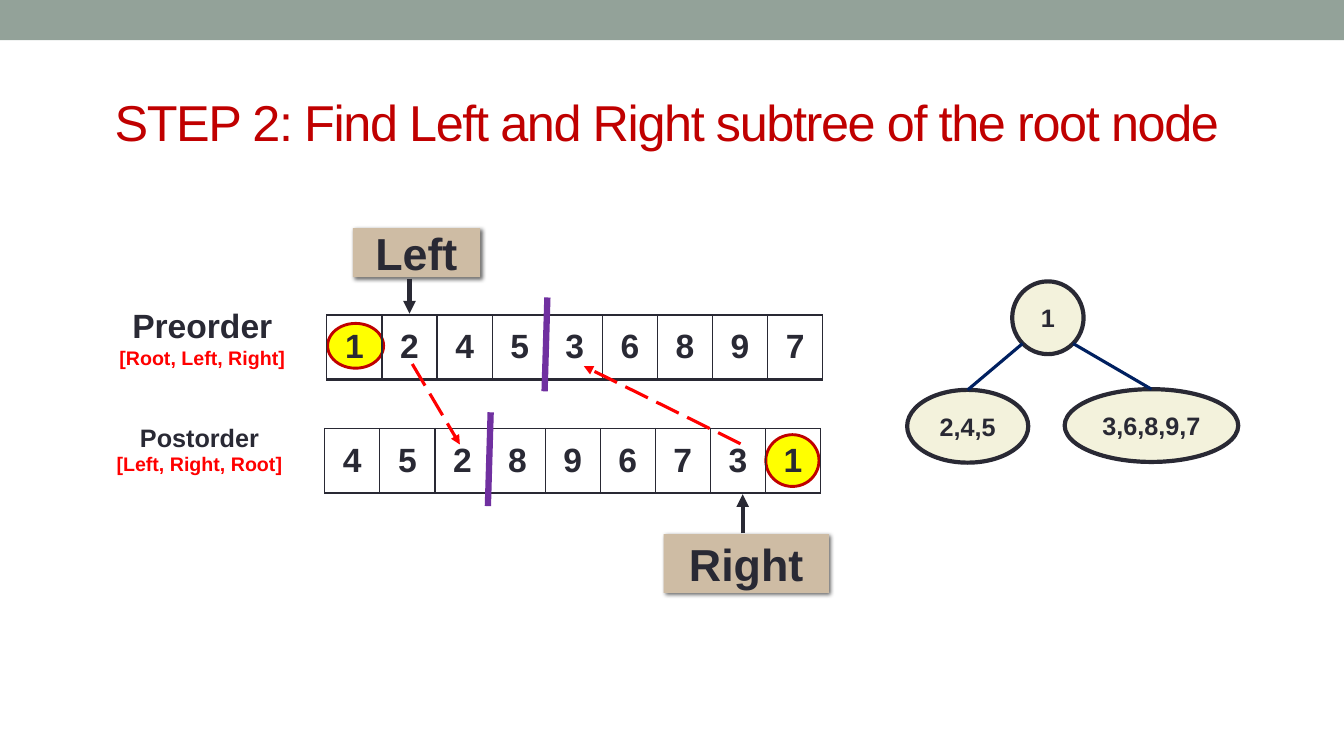
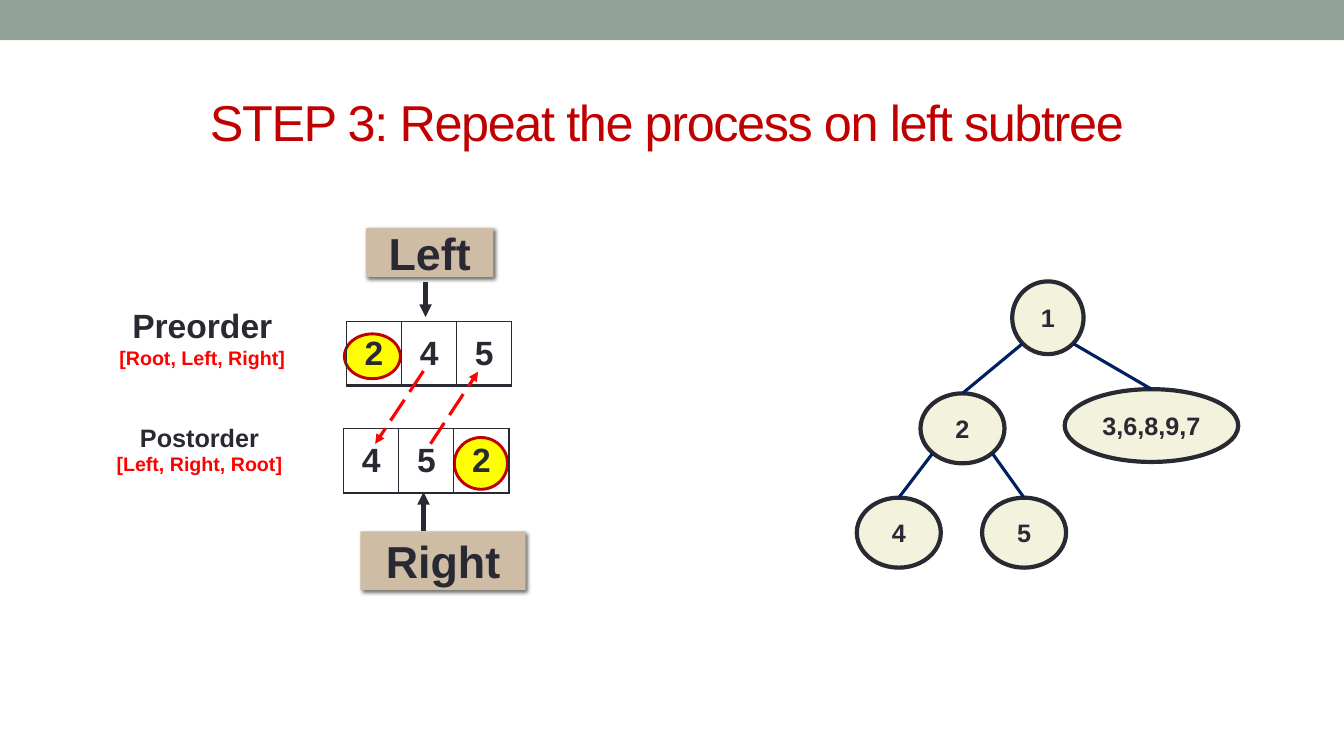
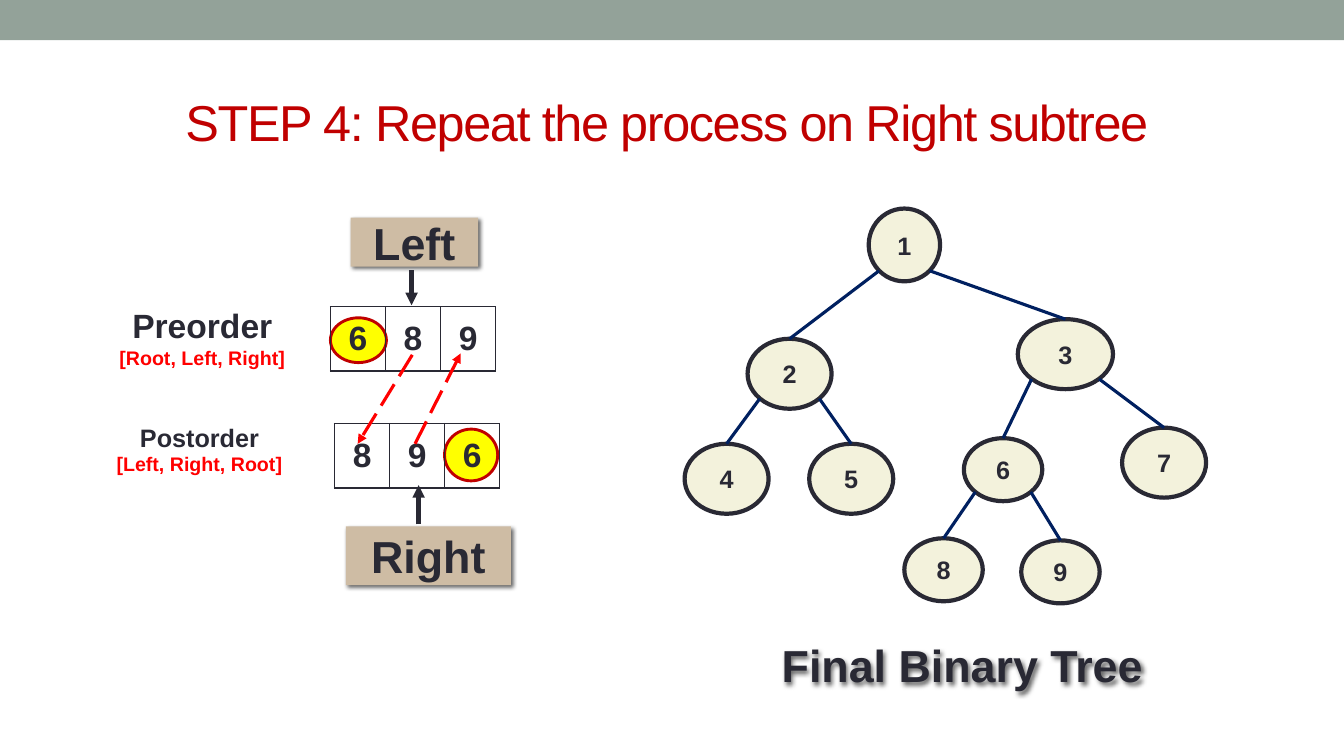
"""Build three slides on making a binary tree from its preorder and postorder."""
from math import sqrt

from lxml import etree
from pptx import Presentation
from pptx.dml.color import RGBColor
from pptx.enum.dml import MSO_LINE
from pptx.enum.shapes import MSO_CONNECTOR, MSO_SHAPE
from pptx.enum.text import MSO_ANCHOR, MSO_AUTO_SIZE, PP_ALIGN
from pptx.oxml import parse_xml
from pptx.oxml.ns import nsdecls, qn
from pptx.util import Pt

RECT, OVAL = MSO_SHAPE.RECTANGLE, MSO_SHAPE.OVAL
STRAIGHT, DASH = MSO_CONNECTOR.STRAIGHT, MSO_LINE.LONG_DASH
TOP, MIDDLE, CENTER = MSO_ANCHOR.TOP, MSO_ANCHOR.MIDDLE, PP_ALIGN.CENTER
FIXED = MSO_AUTO_SIZE.NONE

FONT = "Arial"
INK, SAGE, TAN, CREAM = "292934", "93A299", "CEBCA4", "F3F2DC"
YELLOW, CRIMSON, RED = "FFFF00", "C00000", "FF0000"
PURPLE, NAVY = "7030A0", "002060"
CELL_W, CELL_H = 39.36, 46

SHADOW = (
    f'<a:outerShdw {nsdecls("a")} blurRad="38100" dist="25400" dir="2700000" algn="tl" '
    'rotWithShape="0"><a:srgbClr val="000000"><a:alpha val="60000"/></a:srgbClr></a:outerShdw>'
)
LABELS = [
    ("Preorder\n[Root, Left, Right]", (74, 218, 141, 46), 24),
    ("Postorder\n[Left, Right, Root]", (58, 301.5, 169, 56), 18),
]

STEPS = [
    {
        "title": "STEP 2: Find Left and Right subtree of the root node",
        "spots": [(234, 231, 40, 32), (547, 310.5, 38, 37)],
        "rows": [("124539687".replace("39687", "36897"), 233.5, 225), ("452896731", 232, 306)],
        "tags": [("Left", (252, 163, 91, 35)), ("Right", (474, 381.5, 118, 42))],
        "down": (292.5, 199),
        "up": (530.5, 381),
        "cuts": [((391, 212.5), (389, 279.5)), ((350.5, 294.5), (348.5, 361.5))],
        "moves": [((529, 317), (417, 261.5)), ((294.5, 260), (328.5, 317.5))],
        "tree": [
            ("1", None, (723, 201, 51, 52)),
            ("2,4,5", "1", (648, 278.5, 86.5, 52)),
            ("3,6,8,9,7", "1", (760.5, 278, 124, 52)),
        ],
    },
    {
        "title": "STEP 3: Repeat the process on left subtree",
        "spots": [(246, 238.5, 40, 32), (324.5, 312.5, 38, 37)],
        "rows": [("245", 247.5, 229.5), ("452", 245.5, 306)],
        "tags": [("Left", (261.5, 163, 91, 35)), ("Right", (257.5, 379.5, 118, 42))],
        "down": (304, 201.5),
        "up": (302.5, 379.5),
        "cuts": [],
        "moves": [((307.5, 317), (341.5, 265.5)), ((302.5, 265), (268, 317))],
        "tree": [
            ("1", None, (723, 201, 51, 52)),
            ("2", "1", (657.5, 281, 60, 50)),
            ("3,6,8,9,7", "1", (760.5, 278, 124, 52)),
            ("4", "2", (612, 355.5, 60, 50)),
            ("5", "2", (701.5, 355.5, 60, 50)),
        ],
    },
    {
        "title": "STEP 4: Repeat the process on Right subtree",
        "spots": [(236, 227, 40, 32), (317.5, 306.5, 38, 37)],
        "rows": [("689", 236, 219), ("896", 239, 302.5)],
        "tags": [("Left", (250.5, 155.5, 91, 35)), ("Right", (247, 376, 118, 42))],
        "down": (294, 193),
        "up": (299, 374.5),
        "cuts": [],
        "moves": [((296.5, 317), (329, 252.5)), ((294.5, 253.5), (255.5, 317))],
        "tree": [
            ("1", None, (620.5, 149, 51, 52)),
            ("2", "1", (534, 242, 60, 50)),
            ("3", "1", (727, 228, 68, 50)),
            ("4", "2", (489, 317, 60, 50)),
            ("5", "2", (578, 317, 60, 50)),
            ("6", "3", (688.5, 313, 56, 45)),
            ("7", "3", (801.5, 305.5, 60, 50)),
            ("8", "6", (646, 384.5, 56, 45)),
            ("9", "6", (729.5, 386, 56, 45)),
        ],
        "note": ("Final Binary Tree", (518, 443.5, 339, 63)),
    },
]

tint = RGBColor.from_string


def put(slide, kind, at, text="", size=18, fill=None, edge=None, width=3, shade=False):
    """Add a shape, or a text box when kind is None."""
    spot = [Pt(v) for v in at]
    shape = slide.shapes.add_shape(kind, *spot) if kind else slide.shapes.add_textbox(*spot)
    if fill:
        shape.fill.solid()
        shape.fill.fore_color.rgb = tint(fill)
    else:
        shape.fill.background()
    if edge:
        shape.line.color.rgb = tint(edge)
        shape.line.width = Pt(width)
    else:
        shape.line.fill.background()
    shape.shadow.inherit = False
    if shade:
        shape.element.spPr.find(qn("a:effectLst")).append(parse_xml(SHADOW))
    if text:
        frame = shape.text_frame
        frame.text = text
        frame.word_wrap = True
        frame.vertical_anchor = MIDDLE
        frame.margin_left = frame.margin_right = frame.margin_top = frame.margin_bottom = 0
        for para in frame.paragraphs:
            para.alignment = CENTER
            for run in para.runs:
                run.font.name, run.font.size, run.font.bold = FONT, Pt(size), True
                run.font.color.rgb = tint(INK)
    return shape


def link(slide, start, end, color, width, dash=None, head=False):
    """Add a straight line, with an arrowhead at its end if asked."""
    line = slide.shapes.add_connector(STRAIGHT, *[Pt(v) for v in (*start, *end)])
    line.line.color.rgb = tint(color)
    line.line.width = Pt(width)
    if dash:
        line.line.dash_style = dash
    props = line.element.spPr
    if head:
        etree.SubElement(props.find(qn("a:ln")), qn("a:tailEnd"), type="triangle")
    etree.SubElement(props, qn("a:effectLst"))
    return line


deck = Presentation()
deck.slide_width, deck.slide_height = Pt(960), Pt(540)

for step in STEPS:
    slide = deck.slides.add_slide(deck.slide_layouts[5])
    put(slide, RECT, (0, 0, 960, 28.8), fill=SAGE)

    title = slide.shapes.title
    title.left, title.top, title.width, title.height = Pt(44.5), Pt(61), Pt(864), Pt(52)
    frame = title.text_frame
    frame.text = step["title"]
    frame.auto_size, frame.vertical_anchor = FIXED, MIDDLE
    frame.paragraphs[0].alignment = CENTER
    run = frame.paragraphs[0].runs[0]
    run.font.name, run.font.size = FONT, Pt(36)
    run.font.color.rgb = tint(CRIMSON)
    run.font._element.set("spc", "-100")

    for spot in step["spots"]:
        put(slide, OVAL, spot, fill=YELLOW, edge=CRIMSON, width=2.08)

    for keys, left, top in step["rows"]:
        count = len(keys)
        table = slide.shapes.add_table(
            1, count, Pt(left), Pt(top), Pt(CELL_W * count), Pt(CELL_H)
        ).table
        table.first_row = table.horz_banding = False
        for col, key in enumerate(keys):
            table.columns[col].width = Pt(CELL_W)
            cell = table.cell(0, col)
            cell.text = key
            cell.vertical_anchor = MIDDLE
            para = cell.text_frame.paragraphs[0]
            para.alignment = CENTER
            font = para.runs[0].font
            font.name, font.size, font.bold = FONT, Pt(24), True
            font.color.rgb = tint(INK)
            props = cell._tc.get_or_add_tcPr()
            for side, width in (("L", 1), ("R", 1), ("T", 1), ("B", 2)):
                props.append(parse_xml(
                    f'<a:ln{side} {nsdecls("a")} w="{Pt(width)}"><a:solidFill>'
                    f'<a:srgbClr val="{INK}"/></a:solidFill></a:ln{side}>'
                ))
            cell.fill.background()

    for text, at, size in LABELS:
        frame = put(slide, None, at, text, size).text_frame
        frame.vertical_anchor = TOP
        font = frame.paragraphs[1].runs[0].font
        font.size, font.color.rgb = Pt(14), tint(RED)

    for text, at in step["tags"]:
        put(slide, RECT, at, text, 32, TAN, shade=True)
    for (x, y), reach in ((step["down"], 25), (step["up"], -28)):
        link(slide, (x, y), (x, y + reach), INK, 3, head=True)
    for start, end in step["cuts"]:
        link(slide, start, end, PURPLE, 4.5)
    for start, end in step["moves"]:
        link(slide, start, end, RED, 2.25, DASH, True)

    nodes = {}
    for text, parent, at in step["tree"]:
        node = put(slide, OVAL, at, text, 18, CREAM, INK)
        nodes[text] = node, at
        if parent:
            x, y, w, h = nodes[parent][1]
            mid = at[0] + at[2] / 2
            side = 1 if mid > x + w / 2 else -1
            start = (x + w / 2 + side * w / sqrt(8), y + h / 2 + h / sqrt(8))
            link(slide, start, (mid, at[1]), NAVY, 2.25).end_connect(node, 0)

    if "note" in step:
        text, at = step["note"]
        put(slide, None, at, text, 32, shade=True)

deck.save("out.pptx")
